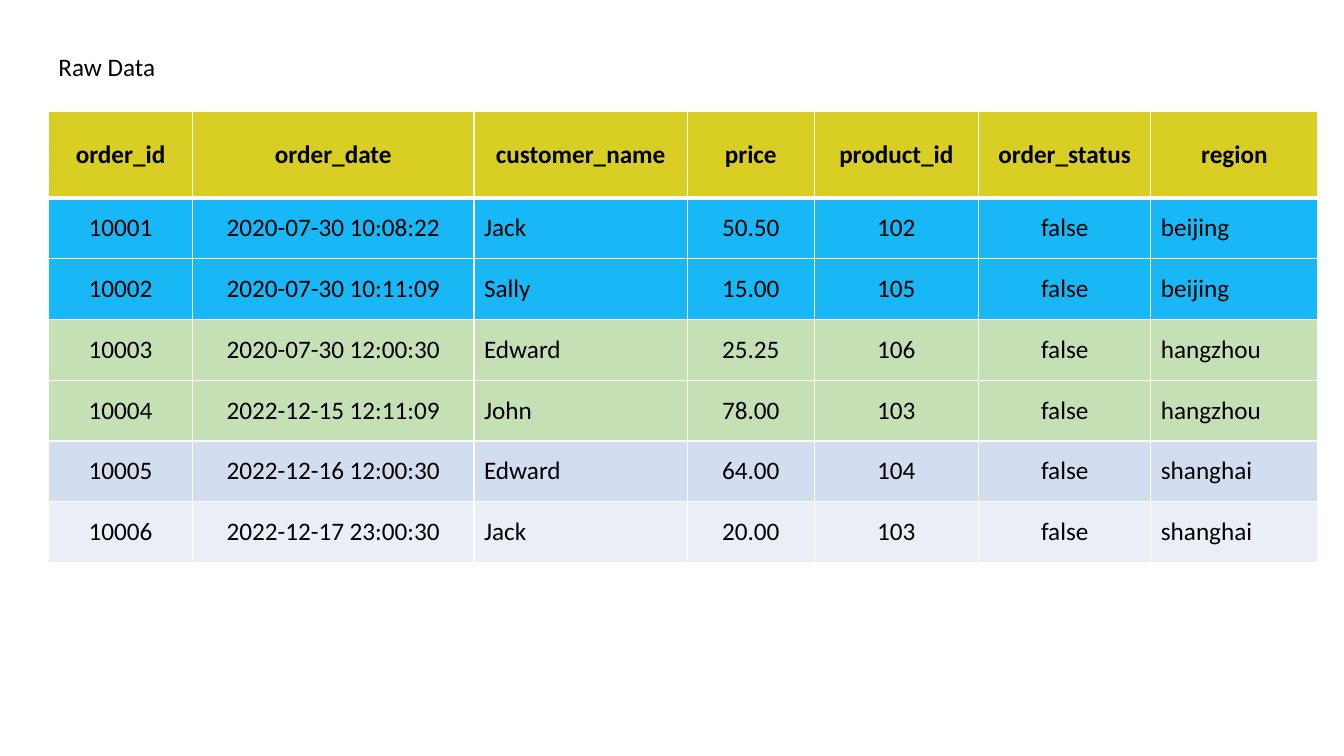
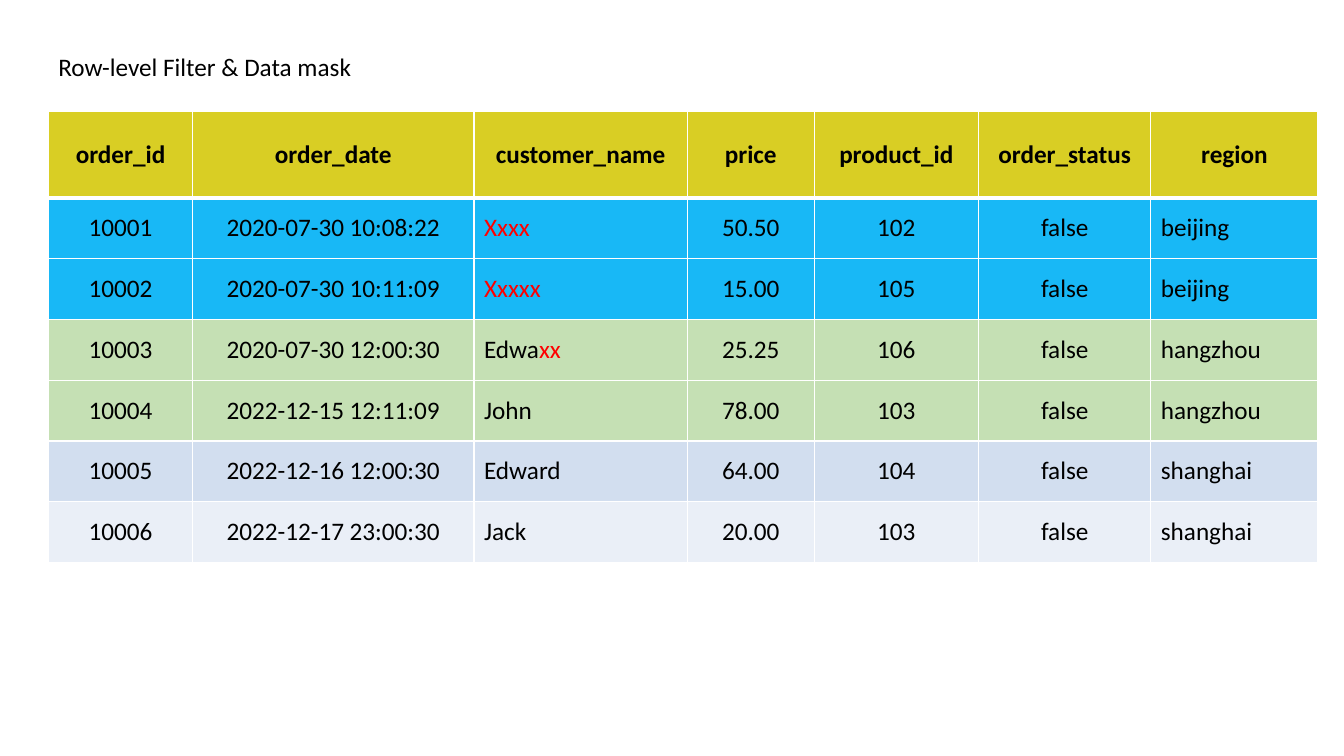
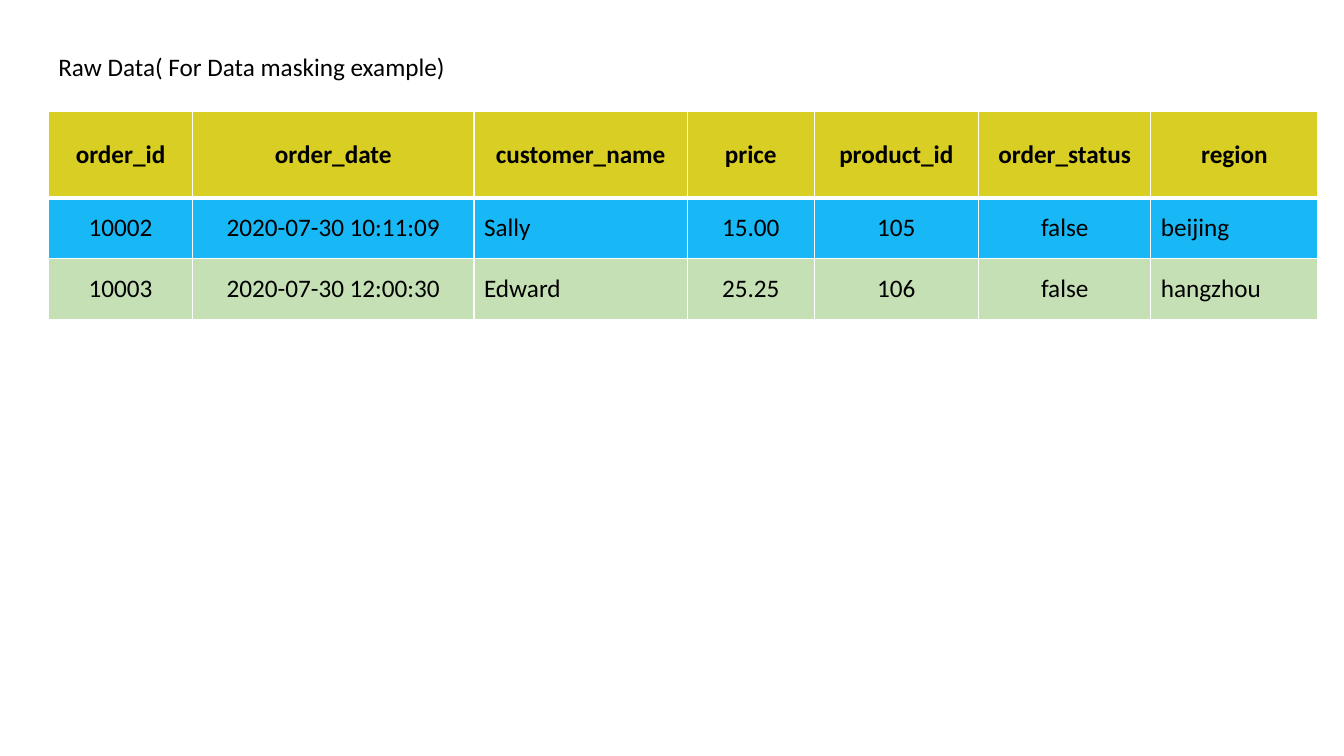
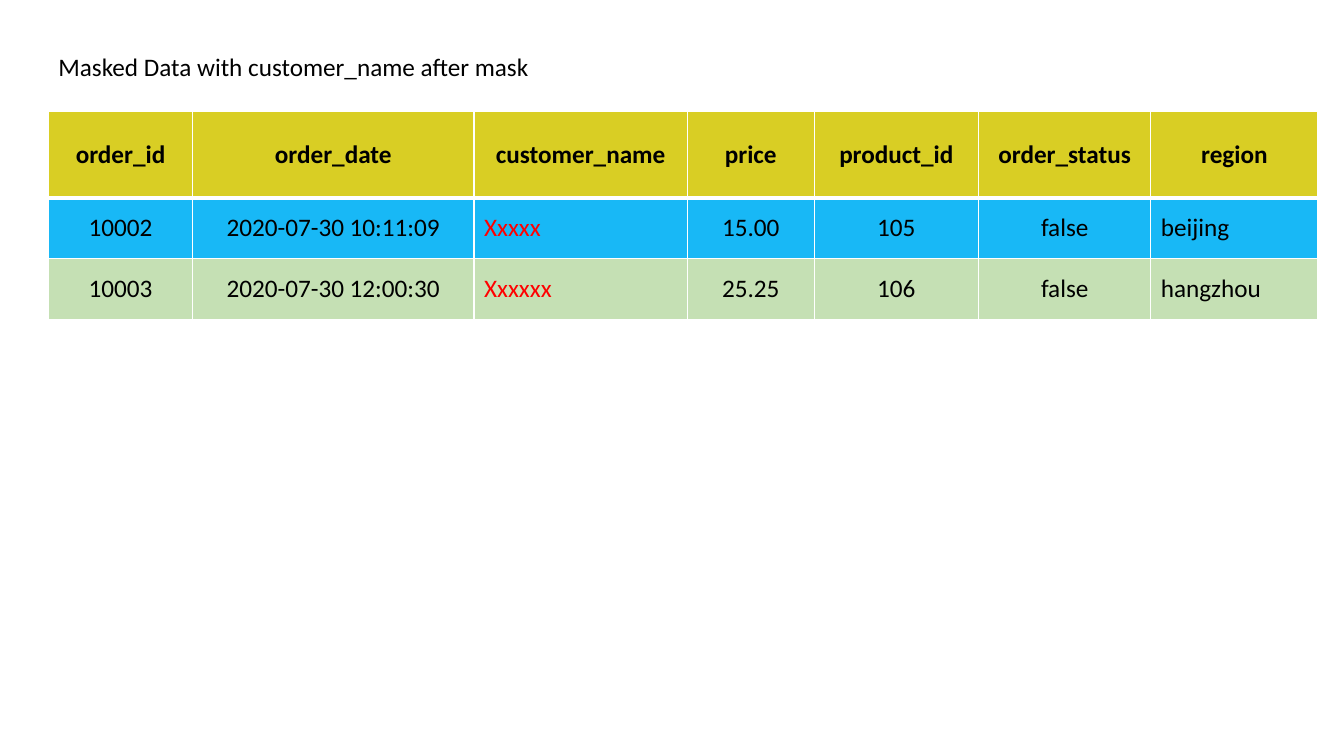
"""Build four slides showing an order table before and after row filtering and masking."""
from dataclasses import astuple, dataclass, field, fields

from pptx import Presentation
from pptx import util as u
from pptx.dml import color
from pptx.enum import text
from pptx.oxml import parse_xml
from pptx.oxml.ns import nsdecls

COLOURS = {
    "text": "000000",
    "mask": "FF0000",
    "border": "FFFFFF",
    "header": "D9CE24",
    "blue": "18B8F6",
    "green": "C5E0B4",
    "lavender": "D2DEEF",
    "pale": "EAEFF7",
}
FONT = "Calibri"
FONT_SIZE = u.Pt(18)
LEFT = u.Pt(34.6)
TITLE_TOP, TITLE_HEIGHT = u.Pt(33), u.Pt(29)
TABLE_TOP = u.Pt(79.4)
HEADER_HEIGHT, ROW_HEIGHT = u.Pt(62), u.Pt(43.4)
COLUMN_WIDTHS = [u.Pt(width) for width in (103, 201, 152.5, 90.5, 117.5, 123, 119.5)]
LEFT_ALIGNED = {"customer_name", "region"}
BORDER_WIDTHS = {"lnL": 1, "lnR": 1, "lnT": 1, "lnB": 3}


@dataclass(frozen=True)
class Order:
    order_id: str
    order_date: str
    customer_name: str
    price: str
    product_id: str
    order_status: str
    region: str


@dataclass(frozen=True)
class Mask:
    kept: str
    hidden: str


@dataclass(frozen=True)
class OrderSlide:
    title: str
    title_width: float
    orders: list[Order]
    masks: dict[str, Mask] = field(default_factory=dict)


COLUMN_NAMES = [column.name for column in fields(Order)]
ORDERS = [
    Order("10001", "2020-07-30 10:08:22", "Jack", "50.50", "102", "false", "beijing"),
    Order("10002", "2020-07-30 10:11:09", "Sally", "15.00", "105", "false", "beijing"),
    Order("10003", "2020-07-30 12:00:30", "Edward", "25.25", "106", "false", "hangzhou"),
    Order("10004", "2022-12-15 12:11:09", "John", "78.00", "103", "false", "hangzhou"),
    Order("10005", "2022-12-16 12:00:30", "Edward", "64.00", "104", "false", "shanghai"),
    Order("10006", "2022-12-17 23:00:30", "Jack", "20.00", "103", "false", "shanghai"),
]
ROW_FILLS = {
    "10001": "blue",
    "10002": "blue",
    "10003": "green",
    "10004": "green",
    "10005": "lavender",
    "10006": "pale",
}
MASKING_EXAMPLE = ORDERS[1:3]
SLIDES = [
    OrderSlide("Raw Data", 281, ORDERS),
    OrderSlide(
        "Row-level Filter & Data mask", 510, ORDERS,
        {"10001": Mask("", "Xxxx"), "10002": Mask("", "Xxxxx"), "10003": Mask("Edwa", "xx")},
    ),
    OrderSlide("Raw Data( For Data masking example)", 402, MASKING_EXAMPLE),
    OrderSlide(
        "Masked Data with customer_name after mask", 510, MASKING_EXAMPLE,
        {"10002": Mask("", "Xxxxx"), "10003": Mask("", "Xxxxxx")},
    ),
]


def rgb(name: str) -> color.RGBColor:
    return color.RGBColor.from_string(COLOURS[name])


def style_paragraph(paragraph, bold: bool = False) -> None:
    paragraph.font.name = FONT
    paragraph.font.size = FONT_SIZE
    paragraph.font.bold = bold
    paragraph.font.color.rgb = rgb("text")


def add_title(slide, title: str, width: float) -> None:
    shape = slide.shapes.add_textbox(LEFT, TITLE_TOP, u.Pt(width), TITLE_HEIGHT)
    frame = shape.text_frame
    frame.word_wrap = True
    frame.auto_size = text.MSO_AUTO_SIZE.SHAPE_TO_FIT_TEXT
    frame.text = title
    style_paragraph(frame.paragraphs[0])


def add_borders(cell) -> None:
    properties = cell._tc.get_or_add_tcPr()
    for side, width in BORDER_WIDTHS.items():
        properties.append(parse_xml(
            f'<a:{side} {nsdecls("a")} w="{u.Pt(width)}"><a:solidFill>'
            f'<a:srgbClr val="{COLOURS["border"]}"/></a:solidFill></a:{side}>'
        ))


def fill_cell(cell, fill: str, align: text.PP_ALIGN, bold: bool = False):
    cell.fill.solid()
    cell.fill.fore_color.rgb = rgb(fill)
    cell.vertical_anchor = text.MSO_ANCHOR.MIDDLE
    paragraph = cell.text_frame.paragraphs[0]
    paragraph.alignment = align
    style_paragraph(paragraph, bold)
    return paragraph


def write_masked(paragraph, mask: Mask) -> None:
    if mask.kept:
        paragraph.add_run().text = mask.kept
    run = paragraph.add_run()
    run.text = mask.hidden
    run.font.color.rgb = rgb("mask")


def add_order_table(slide, orders: list[Order], masks: dict[str, Mask]) -> None:
    height = HEADER_HEIGHT + ROW_HEIGHT * len(orders)
    table = slide.shapes.add_table(
        len(orders) + 1, len(COLUMN_NAMES), LEFT, TABLE_TOP, sum(COLUMN_WIDTHS), height
    ).table
    table.horz_banding = False
    for column, width in zip(table.columns, COLUMN_WIDTHS):
        column.width = width
    for row in table.rows:
        row.height = ROW_HEIGHT
    table.rows[0].height = HEADER_HEIGHT

    for cell, name in zip(table.rows[0].cells, COLUMN_NAMES):
        add_borders(cell)
        run = fill_cell(cell, "header", text.PP_ALIGN.CENTER, bold=True).add_run()
        run.text = name
        run.font.color.rgb = rgb("text")

    for row_index, order in enumerate(orders, start=1):
        for cell, name, value in zip(table.rows[row_index].cells, COLUMN_NAMES, astuple(order)):
            align = text.PP_ALIGN.LEFT if name in LEFT_ALIGNED else text.PP_ALIGN.CENTER
            paragraph = fill_cell(cell, ROW_FILLS[order.order_id], align)
            if name == "customer_name" and order.order_id in masks:
                write_masked(paragraph, masks[order.order_id])
            else:
                paragraph.add_run().text = value


def main() -> None:
    presentation = Presentation()
    presentation.slide_width, presentation.slide_height = u.Pt(960), u.Pt(540)
    blank_layout = presentation.slide_layouts[6]
    for order_slide in SLIDES:
        slide = presentation.slides.add_slide(blank_layout)
        add_order_table(slide, order_slide.orders, order_slide.masks)
        add_title(slide, order_slide.title, order_slide.title_width)
    presentation.save("out.pptx")


main()
